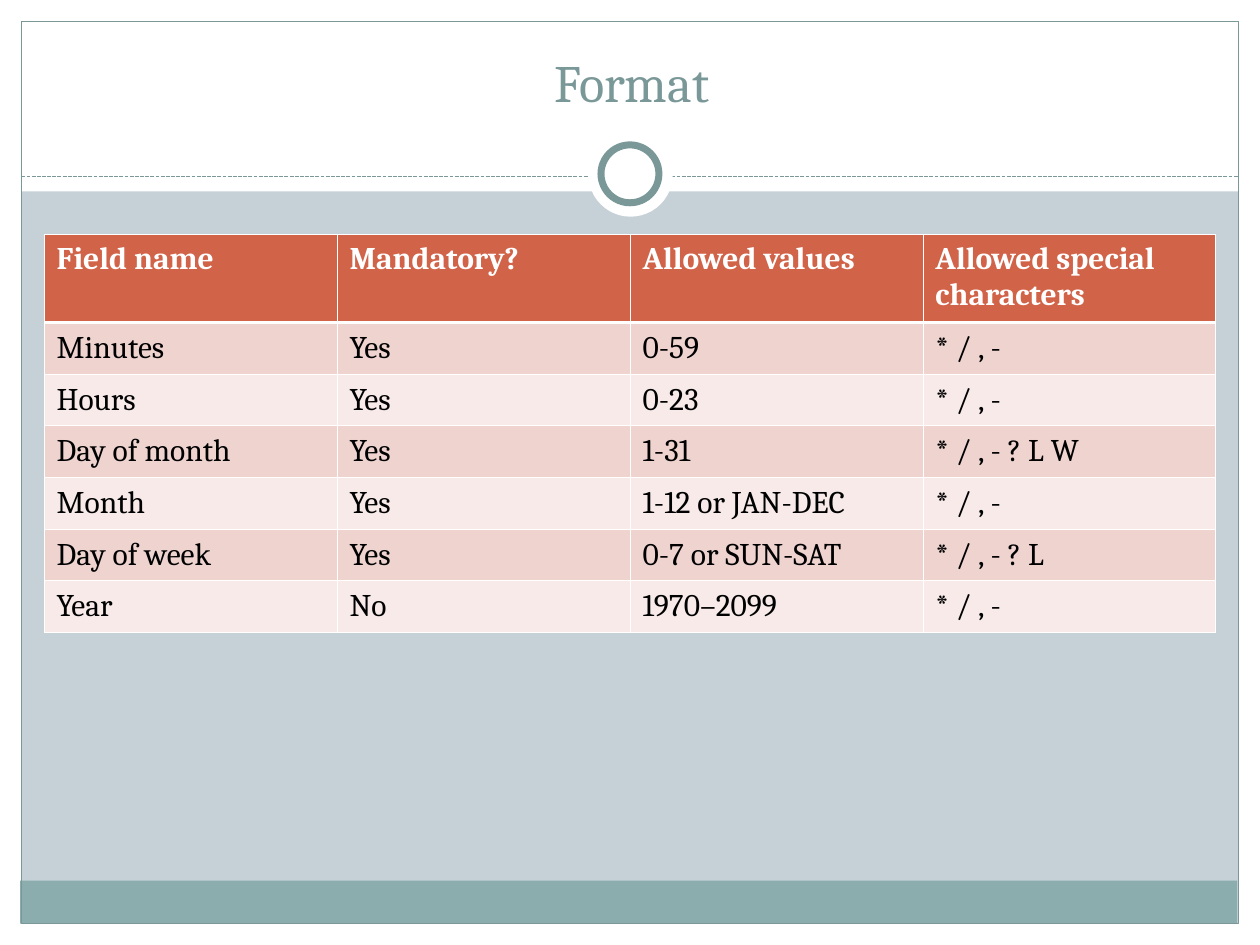
from lxml import etree
from pptx import Presentation, util as u
from pptx.dml.color import RGBColor
from pptx.enum import dml, shapes, text
from pptx.oxml import ns

WHITE = RGBColor(0xFF, 0xFF, 0xFF)
BLACK = RGBColor(0, 0, 0)
MIST = RGBColor(0xC5, 0xD1, 0xD7)
TEAL = RGBColor(0x8C, 0xAD, 0xAE)
SLATE = RGBColor(0x7B, 0x98, 0x99)
RUST = RGBColor(0xD1, 0x63, 0x49)
ROSE = RGBColor(0xEE, 0xD3, 0xCF)
BLUSH = RGBColor(0xF7, 0xEA, 0xE9)

ROWS = [
    ("Field name", "Mandatory?", "Allowed values", "Allowed special characters"),
    ("Minutes", "Yes", "0-59", "* / , -"),
    ("Hours", "Yes", "0-23", "* / , -"),
    ("Day of month", "Yes", "1-31", "* / , - ? L W"),
    ("Month", "Yes", "1-12 or JAN-DEC", "* / , -"),
    ("Day of week", "Yes", "0-7 or SUN-SAT", "* / , - ? L"),
    ("Year", "No", "1970–2099", "* / , -"),
]


def set_values(target, values):
    for name, value in values.items():
        setattr(target, name, value)


def write(frame, words, size, color, bold=False, align=text.PP_ALIGN.LEFT):
    para = frame.paragraphs[0]
    para.alignment = align
    span = para.add_run()
    span.text = words
    set_values(span.font, {"name": "Cambria", "size": u.Pt(size), "bold": bold})
    span.font.color.rgb = color


def add_figure(page, kind, place, fill=None, line=None, width=0.75):
    figure = page.shapes.add_shape(kind, *map(u.Inches, place))
    figure.shadow.inherit = False
    if fill is None:
        figure.fill.background()
    else:
        figure.fill.solid()
        figure.fill.fore_color.rgb = fill
    if line is None:
        figure.line.fill.background()
    else:
        figure.line.color.rgb = line
        figure.line.width = u.Pt(width)


def add_divider(page, left, right, top):
    divider = page.shapes.add_connector(
        shapes.MSO_CONNECTOR.STRAIGHT, *map(u.Inches, (left, top, right, top)))
    set_values(divider.line, {"width": u.Pt(0.75),
                              "dash_style": dml.MSO_LINE.SQUARE_DOT})
    divider.line.color.rgb = SLATE
    etree.SubElement(divider._element.spPr, ns.qn("a:effectLst"))


def add_frame(page):
    rectangle, oval = shapes.MSO_SHAPE.RECTANGLE, shapes.MSO_SHAPE.OVAL
    for place in [(0, 7.33, 10, 0.17), (0, 0, 10, 1.52),
                  (0, 0, 0.17, 7.5), (9.83, 0, 0.17, 7.5)]:
        add_figure(page, rectangle, place, WHITE)
    add_figure(page, rectangle, (0.16, 6.99, 9.66, 0.34), TEAL)
    add_figure(page, rectangle, (0.17, 0.17, 9.66, 7.16), line=SLATE)
    add_divider(page, 0.17, 9.83, 1.4)
    add_figure(page, oval, (4.67, 1.05, 0.67, 0.67), WHITE)
    add_figure(page, oval, (4.77, 1.15, 0.46, 0.46), WHITE, SLATE, 4)


def place_title(page, words):
    title = page.shapes.title
    page.shapes._spTree.append(title._element)
    set_values(title, {"left": u.Inches(0.35), "top": u.Inches(0.6),
                       "width": u.Inches(9.33), "height": u.Inches(0.83)})
    set_values(title.text_frame, {
        "auto_size": text.MSO_AUTO_SIZE.NONE, "word_wrap": True,
        "vertical_anchor": text.MSO_ANCHOR.BOTTOM,
        "margin_top": 0, "margin_bottom": u.Inches(0.53)})
    write(title.text_frame, words, 30, SLATE, align=text.PP_ALIGN.CENTER)


def add_borders(cell, widths):
    properties = cell._tc.get_or_add_tcPr()
    for side, width in widths.items():
        border = etree.SubElement(properties, ns.qn(f"a:ln{side}"), w=str(u.Pt(width)))
        fill = etree.SubElement(border, ns.qn("a:solidFill"))
        etree.SubElement(fill, ns.qn("a:srgbClr"), val=str(WHITE))


def format_cell(cell, words, row):
    header = row == 0
    thin, thick = 0.45, 1.47
    add_borders(cell, {"L": thin, "R": thin,
                       "T": thick if row == 1 else thin,
                       "B": thick if header else thin})
    cell.fill.solid()
    cell.fill.fore_color.rgb = RUST if header else ROSE if row % 2 else BLUSH
    cell.vertical_anchor = text.MSO_ANCHOR.TOP if header else text.MSO_ANCHOR.MIDDLE
    write(cell.text_frame, words, 18, WHITE if header else BLACK, header)


def add_field_table(page):
    place = map(u.Inches, (0.35, 1.86, 9.3, 3.13))
    table = page.shapes.add_table(len(ROWS), len(ROWS[0]), *place).table
    for row, values in enumerate(ROWS):
        table.rows[row].height = u.Inches(0.41 if row else 0.7)
        for column, words in enumerate(values):
            format_cell(table.cell(row, column), words, row)


def main():
    deck = Presentation()
    set_values(deck, {"slide_width": u.Inches(10), "slide_height": u.Inches(7.5)})
    page = deck.slides.add_slide(deck.slide_layouts[5])
    page.background.fill.solid()
    page.background.fill.fore_color.rgb = MIST
    add_frame(page)
    place_title(page, "Format")
    add_field_table(page)
    deck.save("out.pptx")


if __name__ == "__main__":
    main()
